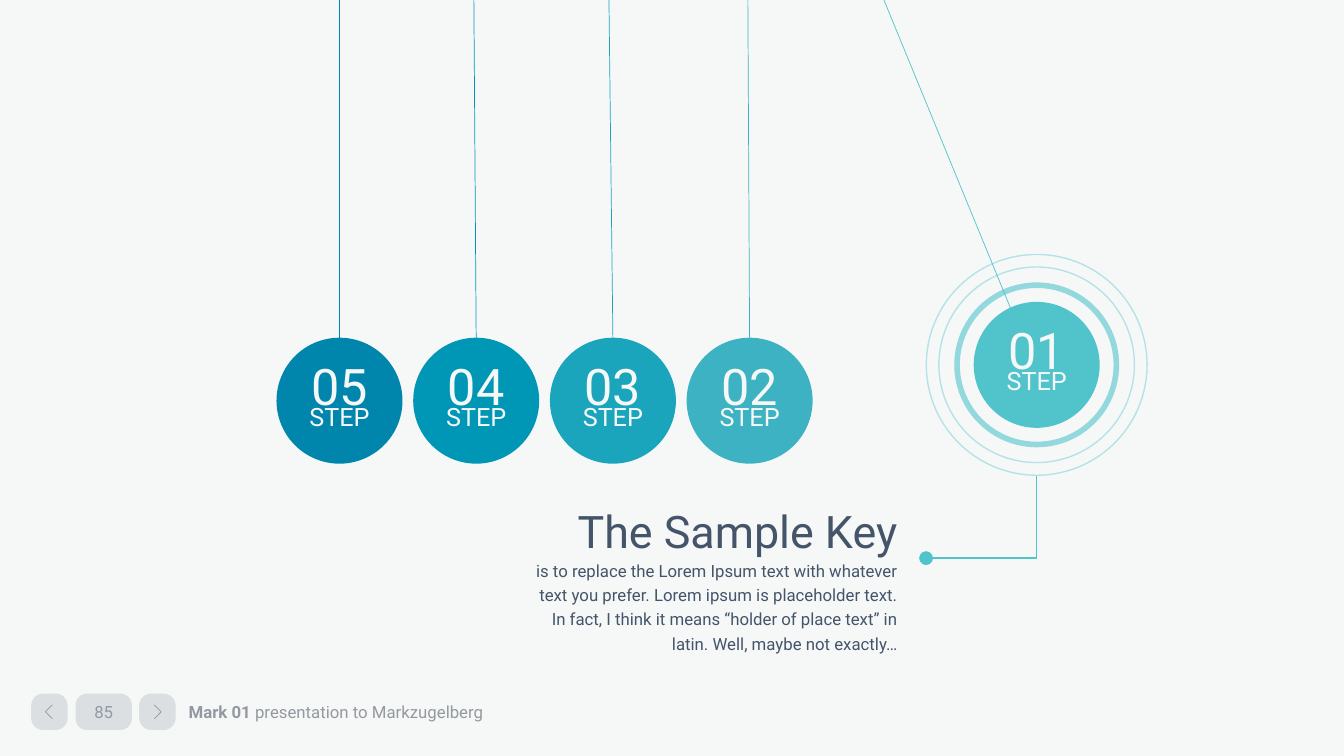
import lxml.etree
import pptx
import pptx.util
import pptx.dml.color
import pptx.enum.shapes
import pptx.enum.text
import pptx.oxml.ns

Pt = pptx.util.Pt
RGBColor = pptx.dml.color.RGBColor
Shape = pptx.enum.shapes.MSO_SHAPE
Align = pptx.enum.text.PP_ALIGN
Anchor = pptx.enum.text.MSO_ANCHOR
qn = pptx.oxml.ns.qn

# Content
TITLE = "The Sample Key"
BODY = ("is to replace the Lorem Ipsum text with whatever text you prefer. "
        "Lorem ipsum is placeholder text. In fact, I think it means "
        "“holder of place text” in latin. Well, maybe not exactly…")
FOOTER = [("Mark 01 ", True), ("presentation to Markzugelberg", False)]
PAGE_NUMBER = "85"

PALE = RGBColor(0xF6, 0xF8, 0xF8)
SLATE = RGBColor(0x44, 0x54, 0x69)
GREY = RGBColor(0x94, 0x99, 0xA1)
AQUA = RGBColor(0x51, 0xC3, 0xCA)

# Resting balls: number, colour, x where the string leaves the slide
RESTING = [
    ("05", RGBColor(0x00, 0x86, 0xAC), 242.5),
    ("04", RGBColor(0x00, 0x97, 0xB7), 338.5),
    ("03", RGBColor(0x1A, 0xA5, 0xBD), 435),
    ("02", RGBColor(0x3C, 0xB2, 0xC3), 534.2),
]
# Rings round the swung ball: diameter, line width, opacity in percent
RINGS = [(113.8, 4, 60), (139.7, 1, 40), (157.7, 1, 40)]

# Layout in points
FONT = "Roboto"
BALL = 90
FIRST_X, BALL_STEP, REST_Y = 242.5, 97.65, 286.2
SWING_X, SWING_Y = 740.5, 260.6
PILL_TOP, PILL_HEIGHT = 495.4, 26
PILLS = [(22.3, 26, 0.327), (54, 40.2, 0.311), (99.4, 26, 0.327)]
ARROW = 5

deck = pptx.Presentation()
deck.slide_width, deck.slide_height = Pt(960), Pt(540)
page = deck.slides.add_slide(deck.slide_layouts[5])
page.background.fill.solid()
page.background.fill.fore_color.rgb = PALE


def fade(element, percent):
    for colour in element.iter(qn("a:srgbClr")):
        lxml.etree.SubElement(colour, qn("a:alpha"), val=str(percent * 1000))


def paint(shape, fill=None, line=None, width=1):
    if fill is None:
        shape.fill.background()
    else:
        shape.fill.solid()
        shape.fill.fore_color.rgb = fill
    if line is None:
        shape.line.fill.background()
    else:
        shape.line.color.rgb = line
        shape.line.width = Pt(width)
    shape.shadow.inherit = False


def set_frame(frame, insets, anchor, wrap=True):
    frame.auto_size = pptx.enum.text.MSO_AUTO_SIZE.NONE
    frame.word_wrap = wrap
    frame.vertical_anchor = anchor
    (frame.margin_left, frame.margin_top,
     frame.margin_right, frame.margin_bottom) = [Pt(inset) for inset in insets]


def style(para, size, colour, align, spacing=1.0):
    para.alignment = align
    para.line_spacing = spacing
    for span in para.runs:
        span.font.size = Pt(size)
        span.font.name = FONT
        span.font.color.rgb = colour


def place(shape, left, top, width, height):
    shape.left, shape.top = Pt(left), Pt(top)
    shape.width, shape.height = Pt(width), Pt(height)


def add_circle(x, y, size):
    return page.shapes.add_shape(Shape.OVAL, Pt(x - size / 2), Pt(y - size / 2),
                                 Pt(size), Pt(size))


def add_ball(number, colour, x, y):
    ball = add_circle(x, y, BALL)
    paint(ball, fill=colour)
    set_frame(ball.text_frame, (7.2, 7.2, 7.2, 3.6), Anchor.MIDDLE)
    ball.text_frame.text = number + "\nSTEP"
    for para, size in zip(ball.text_frame.paragraphs, (36, 18)):
        style(para, size, PALE, Align.CENTER, 0.6)


def add_string(start, top_x, colour):
    string = page.shapes.add_connector(
        pptx.enum.shapes.MSO_CONNECTOR.STRAIGHT,
        Pt(start[0]), Pt(start[1]), Pt(top_x), Pt(0))
    string.line.color.rgb = colour
    string.line.width = Pt(0.5)
    lxml.etree.SubElement(string.element.spPr, qn("a:effectLst"))


def add_path(points, colour, width):
    start, *rest = [(Pt(x), Pt(y)) for x, y in points]
    builder = page.shapes.build_freeform(*start)
    builder.add_line_segments(rest, close=False)
    path = builder.convert_to_shape()
    paint(path, line=colour, width=width)
    return path


# Footer: pills, page number, arrows and label
pills = []
for left, width, rounding in PILLS:
    pill = page.shapes.add_shape(Shape.ROUNDED_RECTANGLE, Pt(left), Pt(PILL_TOP),
                                 Pt(width), Pt(PILL_HEIGHT))
    pill.adjustments[0] = rounding
    paint(pill, fill=SLATE)
    fade(pill.element.spPr, 15)
    pills.append(pill)

number_pill = pills[1]
set_frame(number_pill.text_frame, (0, 0, 0, 0), Anchor.MIDDLE, wrap=False)
number_pill.text_frame.text = PAGE_NUMBER
style(number_pill.text_frame.paragraphs[0], 12, SLATE, Align.CENTER)
fade(number_pill.element.txBody, 50)

middle = PILL_TOP + PILL_HEIGHT / 2
for tip, direction in ((32.4, 1), (115.2, -1)):
    back = tip + direction * ARROW
    arrow = add_path([(back, middle + ARROW), (tip, middle), (back, middle - ARROW)],
                     SLATE, 0.5)
    fade(arrow.element.spPr, 50)

label = page.shapes.add_textbox(Pt(125.3), Pt(496.2), Pt(264), Pt(24.4))
set_frame(label.text_frame, (9.4, 5, 9.4, 5), Anchor.MIDDLE)
label_para = label.text_frame.paragraphs[0]
for words, bold in FOOTER:
    span = label_para.add_run()
    span.text = words
    span.font.bold = bold
style(label_para, 12, GREY, Align.LEFT)

# Resting balls on their strings
for index, (number, colour, top_x) in enumerate(RESTING):
    x = FIRST_X + index * BALL_STEP
    add_ball(number, colour, x, REST_Y)
    add_string((x, REST_Y - BALL / 2), top_x, colour)

# Swung ball with its rings
add_string((722, 220.5), 631.4, AQUA)
add_ball("01", AQUA, SWING_X, SWING_Y)
for diameter, width, opacity in RINGS:
    ring = add_circle(SWING_X, SWING_Y, diameter)
    paint(ring, line=AQUA, width=width)
    fade(ring.element.spPr, opacity)

# Pointer from the rings to the text
pointer = add_path([(661.5, 398.7), (SWING_X, 398.7), (SWING_X, 339.8)], AQUA, 1)
lxml.etree.SubElement(pointer.element.spPr.find(qn("a:ln")), qn("a:headEnd"),
                      type="oval", w="lg", len="lg")

# Title and body
title = page.shapes.title
place(title, 363.6, 348.5, 287, 49.3)
body = page.shapes.add_textbox(Pt(363.6), Pt(394.2), Pt(287), Pt(79))
for box, words, size in ((title, TITLE, 32), (body, BODY, 12)):
    set_frame(box.text_frame, (9.4, 3.6, 9.4, 0), Anchor.TOP)
    box.text_frame.text = words
    style(box.text_frame.paragraphs[0], size, SLATE, Align.RIGHT, 1.2)

deck.save("out.pptx")
